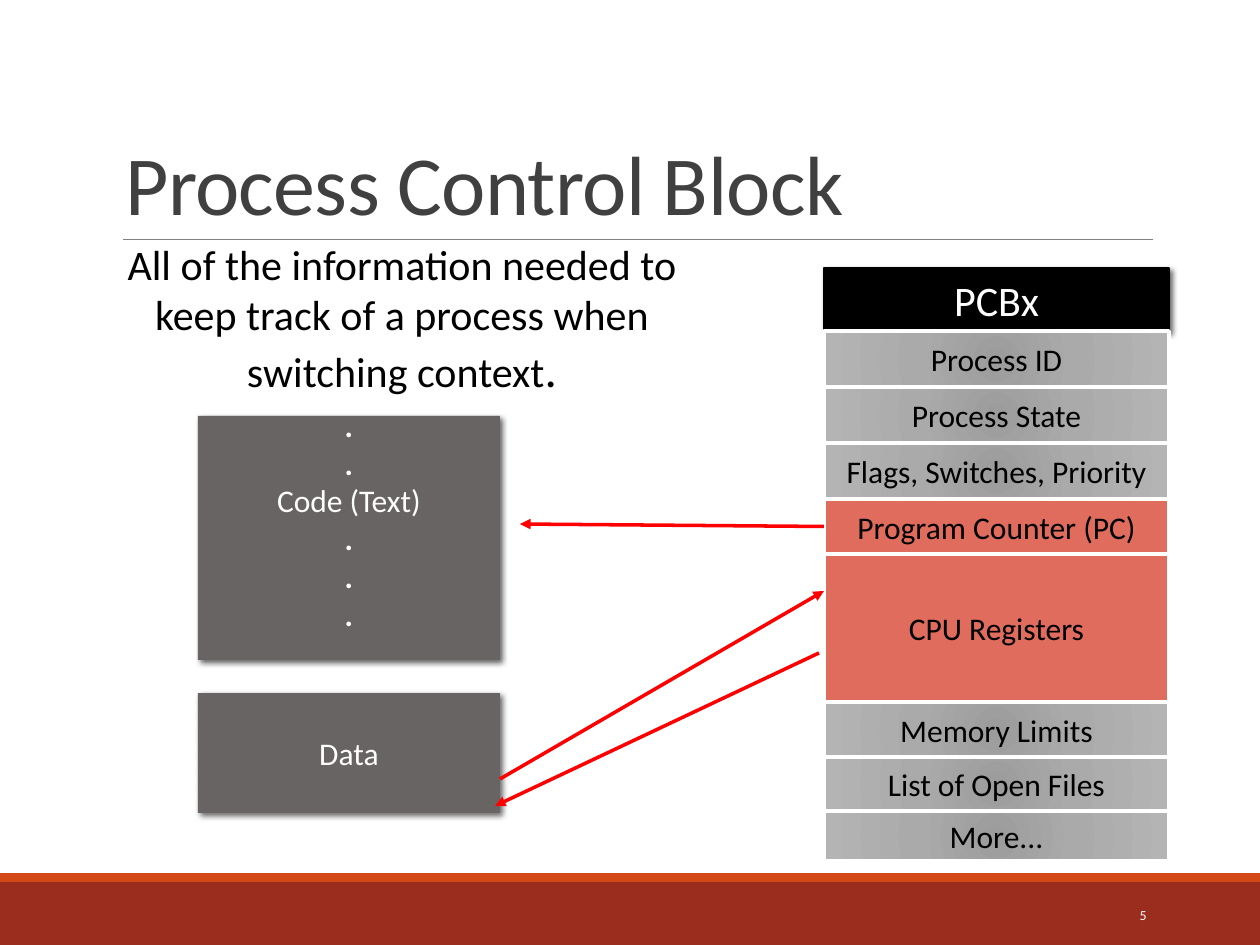
from dataclasses import dataclass

from lxml import etree
from pptx import Presentation
from pptx.dml.color import RGBColor
from pptx.enum.shapes import MSO_CONNECTOR, MSO_SHAPE
from pptx.enum.text import MSO_ANCHOR, PP_ALIGN
from pptx.oxml import parse_xml
from pptx.oxml.ns import nsdecls, qn
from pptx.util import Emu, Pt

RECTANGLE = MSO_SHAPE.RECTANGLE
STRAIGHT = MSO_CONNECTOR.STRAIGHT
TOP, MIDDLE, BOTTOM = MSO_ANCHOR.TOP, MSO_ANCHOR.MIDDLE, MSO_ANCHOR.BOTTOM
LEFT, CENTER, RIGHT = PP_ALIGN.LEFT, PP_ALIGN.CENTER, PP_ALIGN.RIGHT
LEFT_SIDE = 1
PX_PER_INCH = 126


@dataclass(frozen=True)
class Theme:
    font: str = "Calibri"
    white: str = "FFFFFF"
    black: str = "000000"
    title: str = "404040"
    rule: str = "808080"
    footer: str = "9B2D1F"
    footer_edge: str = "D34817"
    memory: str = "696464"
    saved: str = "DF6C5D"
    arrow: str = "FF0000"
    gray_stops: tuple = ((0, "9C9C9C"), (45, "AAAAAA"), (100, "B4B4B4"))
    title_size: float = 48
    period_size: float = 28
    body_size: float = 24
    label_size: float = 18
    number_size: float = 7.9


THEME = Theme()


def px(length):
    return Emu(round(length * 914400 / PX_PER_INCH))


def rgb(color):
    return RGBColor.from_string(color)


def add_run(paragraph, text, size, color, bold=False):
    run = paragraph.add_run()
    run.text = text
    font = run.font
    font.name, font.size, font.bold = THEME.font, Pt(size), bold
    font.color.rgb = rgb(color)
    return run


def set_text(shape, lines, anchor=MIDDLE, align=CENTER):
    """Write lines, each a list of (text, size, color[, bold]) runs."""
    frame = shape.text_frame
    frame.word_wrap = True
    frame.vertical_anchor = anchor
    for index, runs in enumerate(lines):
        paragraph = frame.add_paragraph() if index else frame.paragraphs[0]
        paragraph.alignment = align
        for run in runs:
            add_run(paragraph, *run)
    return frame


def add_text_box(shapes, box, runs, anchor=TOP, align=CENTER):
    text_box = shapes.add_textbox(*map(px, box))
    return set_text(text_box, [runs], anchor, align)


def add_rectangle(shapes, box, fill=None, line=None, line_width=1):
    shape = shapes.add_shape(RECTANGLE, *map(px, box))
    shape.shadow.inherit = False
    if fill:
        shape.fill.solid()
        shape.fill.fore_color.rgb = rgb(fill)
    if line:
        shape.line.color.rgb = rgb(line)
        shape.line.width = Pt(line_width)
    else:
        shape.line.fill.background()
    return shape


def add_shadow(shape, blur):
    effects = shape._element.spPr.find(qn("a:effectLst"))
    effects.append(parse_xml(
        f'<a:outerShdw {nsdecls("a")} blurRad="{Pt(blur)}" dist="{Pt(2)}" dir="2700000">'
        f'<a:srgbClr val="{THEME.black}"><a:alpha val="60000"/></a:srgbClr></a:outerShdw>'))


def fill_radial(shape, stops):
    """Give a shape without its own fill a circular gradient."""
    stop_xml = "".join(f'<a:gs pos="{position * 1000}"><a:srgbClr val="{color}"/></a:gs>'
                       for position, color in stops)
    gradient = parse_xml(
        f'<a:gradFill {nsdecls("a")} rotWithShape="1"><a:gsLst>{stop_xml}</a:gsLst>'
        '<a:path path="circle"><a:fillToRect l="100000" t="100000" r="100000" b="100000"/>'
        '</a:path></a:gradFill>')
    shape._element.spPr.find(qn("a:prstGeom")).addnext(gradient)


def add_line(shapes, start, end, color, width):
    line = shapes.add_connector(STRAIGHT, *map(px, start + end))
    line.line.color.rgb = rgb(color)
    line.line.width = Pt(width)
    etree.SubElement(line._element.spPr, qn("a:effectLst"))
    return line


def add_arrow(shapes, start, end):
    arrow = add_line(shapes, start, end, THEME.arrow, 2)
    etree.SubElement(arrow.line._get_or_add_ln(), qn("a:tailEnd"), type="triangle")
    return arrow


def add_frame(shapes):
    """Draw the footer bands, title, title rule and slide number."""
    add_rectangle(shapes, (0, 882, 1260, 63), THEME.footer)
    add_rectangle(shapes, (0, 873, 1260, 9), THEME.footer_edge)
    add_line(shapes, (123, 239), (1153, 239), THEME.rule, 0.5)
    title = add_text_box(shapes, (113, 39, 1040, 200),
                         [("Process Control Block", THEME.title_size, THEME.title)],
                         BOTTOM, LEFT).paragraphs[0]
    title.line_spacing = 0.85
    title.runs[0]._r.get_or_add_rPr().set("spc", "-40")
    add_text_box(shapes, (1023, 890, 136, 50),
                 [("5", THEME.number_size, THEME.white)], MIDDLE, RIGHT)


def add_control_block(shapes):
    """Stack the header and rows; return the row shapes by label."""
    left, top, width, header_height = 824, 268, 345, 63
    group = shapes.add_group_shape().shapes
    header = add_rectangle(group, (left, top, width, header_height), THEME.black, THEME.black)
    add_shadow(header, 3)
    set_text(header, [[("PCBx", THEME.body_size, THEME.white)]], TOP)
    top += header_height
    rows = {}
    for label, height, fill in (
        ("Process ID", 56, None),
        ("Process State", 56, None),
        ("Flags, Switches, Priority", 56, None),
        ("Program Counter (PC)", 55, THEME.saved),
        ("CPU Registers", 148, THEME.saved),
        ("Memory Limits", 55, None),
        ("List of Open Files", 54, None),
        ("More...", 50, None),
    ):
        row = add_rectangle(group, (left, top, width, height), fill, THEME.white, 2.25)
        if not fill:
            fill_radial(row, THEME.gray_stops)
        set_text(row, [[(label, THEME.label_size, THEME.black)]])
        rows[label] = row
        top += height
    return rows


def add_memory_block(shapes, top, height, labels):
    block = add_rectangle(shapes, (198, top, 302, height), THEME.memory)
    add_shadow(block, 3.5)
    return set_text(block, [[(label, THEME.label_size, THEME.white, label == ".")]
                            for label in labels])


def main():
    presentation = Presentation()
    presentation.slide_width, presentation.slide_height = px(1260), px(945)
    slide = presentation.slides.add_slide(presentation.slide_layouts[6])
    shapes = slide.shapes

    add_frame(shapes)
    add_text_box(shapes, (87, 232, 630, 174), [
        ("All of the information needed to keep track of a process when switching context",
         THEME.body_size, THEME.black),
        (".", THEME.period_size, THEME.black),
    ])
    rows = add_control_block(shapes)
    code = add_memory_block(shapes, 416, 244, [".", ".", "Code (Text)", ".", ".", "."])
    code.margin_bottom = px(44)
    add_memory_block(shapes, 693, 120, ["Data"])

    counter_arrow = add_arrow(shapes, (824, 527), (520, 524))
    counter_arrow.begin_connect(rows["Program Counter (PC)"], LEFT_SIDE)
    add_arrow(shapes, (500, 779), (824, 591))
    add_arrow(shapes, (819, 653), (495, 806))

    presentation.save("out.pptx")


if __name__ == "__main__":
    main()
